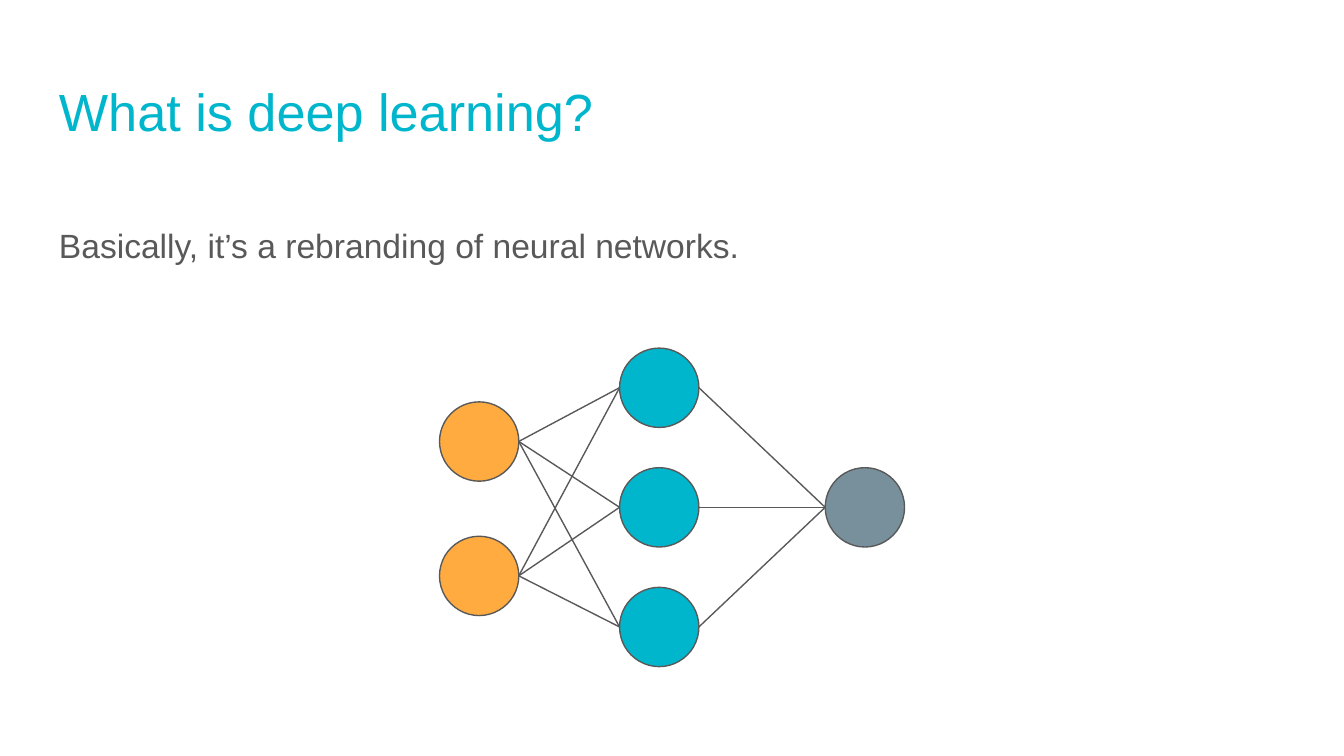
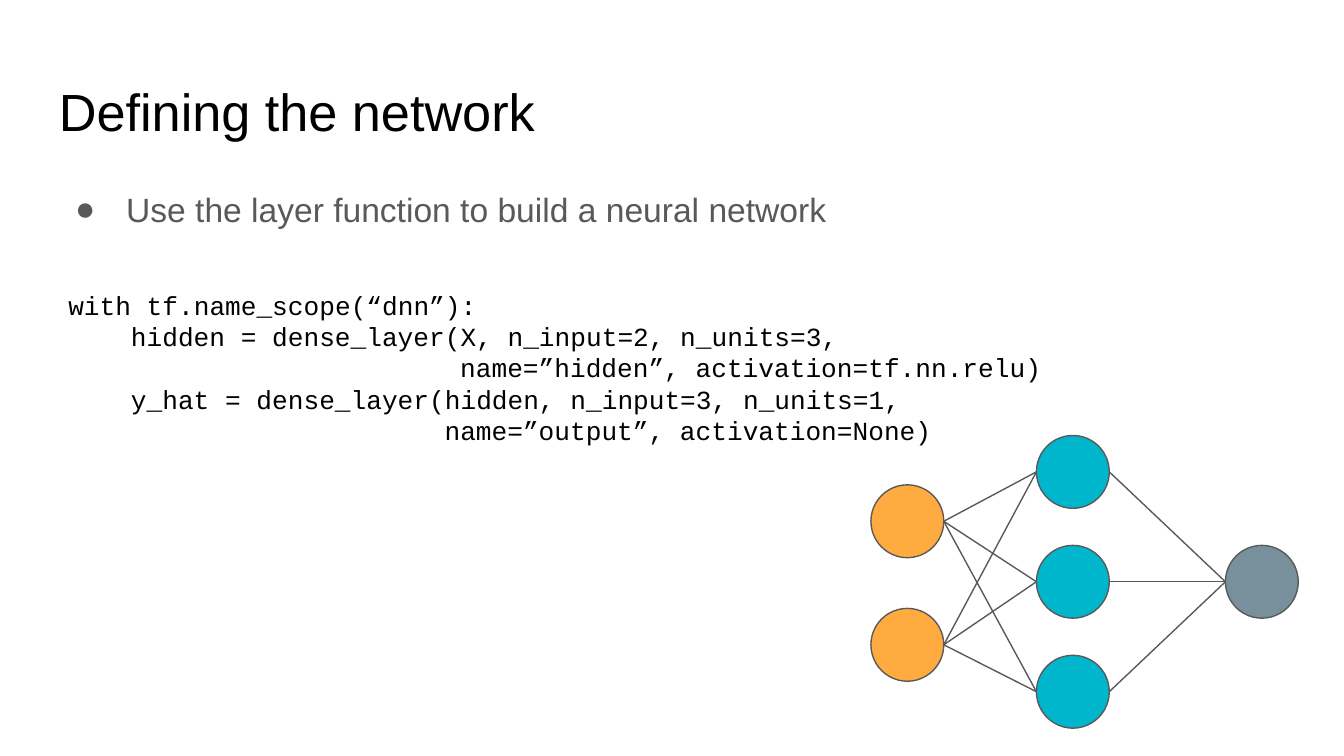
from itertools import pairwise, product

from lxml import etree
from pptx import Presentation
from pptx.dml.color import RGBColor
from pptx.enum.shapes import MSO_CONNECTOR, MSO_SHAPE
from pptx.oxml.ns import qn
from pptx.util import Inches, Pt

NODE_SHAPE = MSO_SHAPE.FLOWCHART_CONNECTOR
STRAIGHT = MSO_CONNECTOR.STRAIGHT
COLORS = {
    "white": "FFFFFF",
    "black": "000000",
    "gray": "595959",
    "teal": "00B6CC",
    "orange": "FFAB40",
    "slate": "78909C",
}
SANS, MONO = "Arial", "Courier New"
PAGE_WIDTH = 10
PAGE_HEIGHT = PAGE_WIDTH * 9 / 16
MARGIN, CONTENT_WIDTH = 0.34, 9.32
BODY_SIZE, CODE_SIZE = 18, 14
CODE_COLUMN = 0.6 * CODE_SIZE / 72
NETWORK_WIDTH, NODE_SIZE = 3.46, 0.59
LAYERS = [
    ("orange", 0, (0.4, 1.4)),
    ("teal", 1.34, (0, 0.89, 1.78)),
    ("slate", 2.87, (0.89,)),
]
CODE_LINES = [
    (0, "with tf.name_scope(“dnn”):"),
    (4, "hidden = dense_layer(X, n_input=2, n_units=3,"),
    (25, "name=”hidden”, activation=tf.nn.relu)"),
    (4, "y_hat = dense_layer(hidden, n_input=3, n_units=1,"),
    (24, "name=”output”, activation=None)"),
]


def rgb(name):
    """Return the named palette colour."""
    return RGBColor.from_string(COLORS[name])


def add_text(page, box, lines, size, color, font=SANS):
    """Write one paragraph per line into a box and return the paragraphs."""
    frame = page.shapes.add_textbox(*map(Inches, box)).text_frame
    frame.word_wrap = True
    frame.margin_left = frame.margin_right = Inches(0.1)
    frame.margin_top = frame.margin_bottom = Inches(0.1)
    frame.text = "\n".join(lines)
    for para in frame.paragraphs:
        for span in para.runs:
            span.font.size = Pt(size)
            span.font.name = font
            span.font.color.rgb = rgb(color)
    return frame.paragraphs


def set_indent(para, left, first=0):
    """Set the left margin and first-line indent of a paragraph in inches."""
    props = para._p.get_or_add_pPr()
    props.set("marL", str(Inches(left)))
    props.set("indent", str(Inches(first)))
    return props


def add_title(page, text, color):
    """Place the slide title."""
    add_text(page, (MARGIN, 0.49, CONTENT_WIDTH, 0.63), [text], 28, color)


def add_body(page, top, height, text):
    """Place the gray body line and return its paragraph."""
    box = (MARGIN, top, CONTENT_WIDTH, height)
    para = add_text(page, box, [text], BODY_SIZE, "gray")[0]
    para.line_spacing = 1.15
    return para


def add_bullet(para):
    """Give a paragraph a round gray bullet with a hanging indent."""
    props = set_indent(para, 0.5, -0.38)
    bullet_color = etree.SubElement(props, qn("a:buClr"))
    etree.SubElement(bullet_color, qn("a:srgbClr"), val=COLORS["gray"])
    etree.SubElement(props, qn("a:buSzPts"), val=str(BODY_SIZE * 100))
    etree.SubElement(props, qn("a:buFont"), typeface=SANS)
    etree.SubElement(props, qn("a:buChar"), char="●")


def add_code(page, box):
    """Place the code listing, indented by character columns."""
    lines = [text for _, text in CODE_LINES]
    paras = add_text(page, box, lines, CODE_SIZE, "black", MONO)
    for para, (columns, _) in zip(paras, CODE_LINES):
        set_indent(para, columns * CODE_COLUMN)


def style_line(line):
    """Apply the thin gray outline."""
    line.color.rgb = rgb("gray")
    line.width = Pt(0.75)


def add_node(page, left, top, size, color):
    """Draw one neuron."""
    node = page.shapes.add_shape(NODE_SHAPE, *map(Inches, (left, top, size, size)))
    node.shadow.inherit = False
    node.fill.solid()
    node.fill.fore_color.rgb = rgb(color)
    style_line(node.line)
    return node


def add_link(page, source, target):
    """Join the right side of one neuron to the left side of another."""
    link = page.shapes.add_connector(
        STRAIGHT,
        source.left + source.width,
        source.top + source.height // 2,
        target.left,
        target.top + target.height // 2,
    )
    style_line(link.line)
    etree.SubElement(link._element.spPr, qn("a:effectLst"))


def add_network(page, left, top, width):
    """Draw the fully connected network scaled to a width."""
    scale = width / NETWORK_WIDTH
    layers = [
        [
            add_node(page, left + x * scale, top + y * scale, NODE_SIZE * scale, color)
            for y in tops
        ]
        for color, x, tops in LAYERS
    ]
    for sources, targets in pairwise(layers):
        for source, target in product(sources, targets):
            add_link(page, source, target)


def add_page(deck):
    """Add a blank white slide."""
    page = deck.slides.add_slide(deck.slide_layouts[6])
    page.background.fill.solid()
    page.background.fill.fore_color.rgb = rgb("white")
    return page


def build_intro(deck):
    """Build the slide that introduces deep learning."""
    page = add_page(deck)
    add_title(page, "What is deep learning?", "teal")
    para = add_body(page, 1.53, 0.81, "Basically, it’s a rebranding of neural networks.")
    para.space_after = Pt(16)
    add_network(page, 3.27, 2.59, NETWORK_WIDTH)


def build_definition(deck):
    """Build the slide that defines the network in code."""
    page = add_page(deck)
    add_title(page, "Defining the network", "black")
    add_bullet(add_body(page, 1.26, 0.7, "Use the layer function to build a neural network"))
    add_network(page, 6.48, 3.24, 3.18)
    add_code(page, (0.41, 2.05, 7.84, 2.66))


def main():
    """Build and save the deck."""
    deck = Presentation()
    deck.slide_width, deck.slide_height = Inches(PAGE_WIDTH), Inches(PAGE_HEIGHT)
    build_intro(deck)
    build_definition(deck)
    deck.save("out.pptx")


if __name__ == "__main__":
    main()
